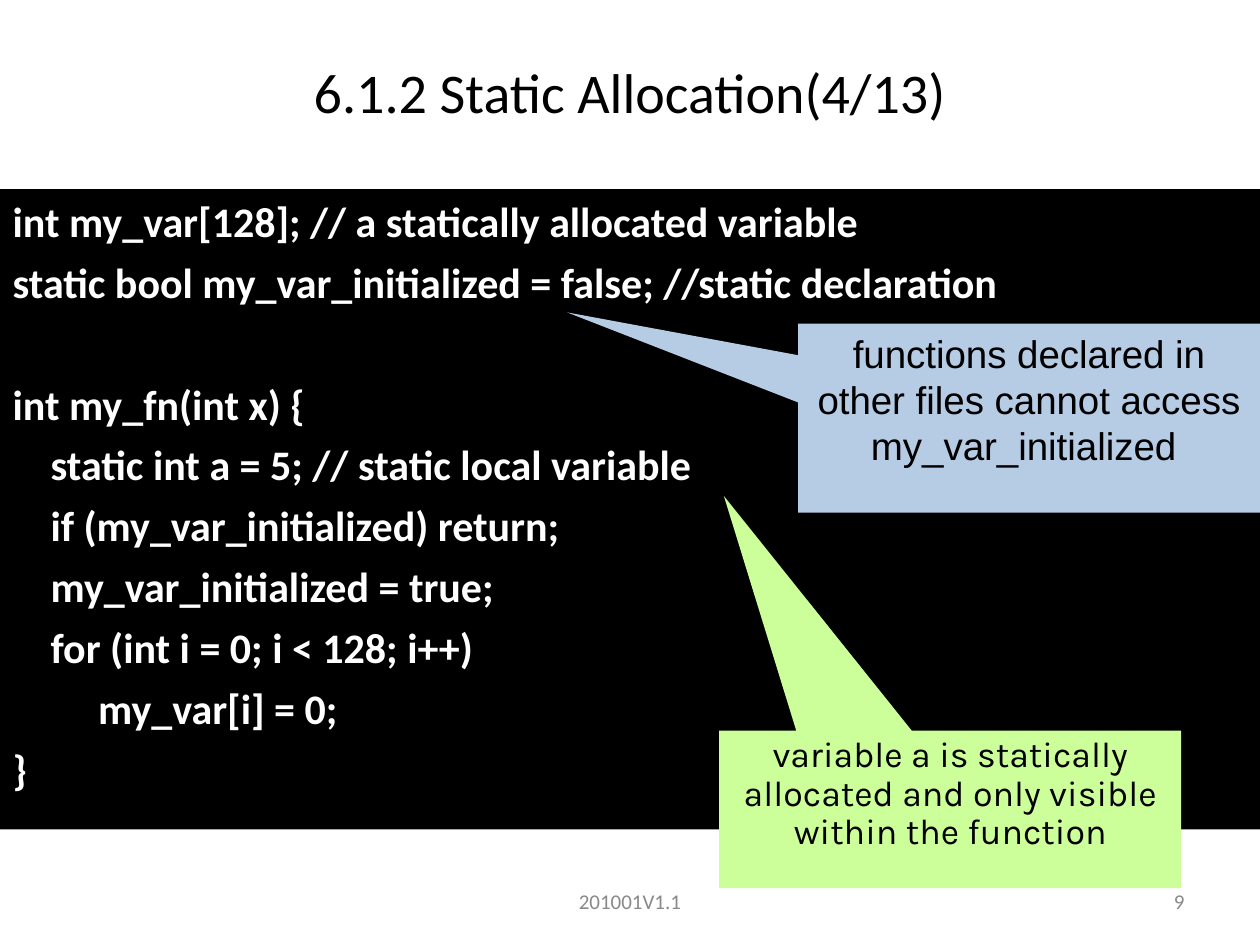
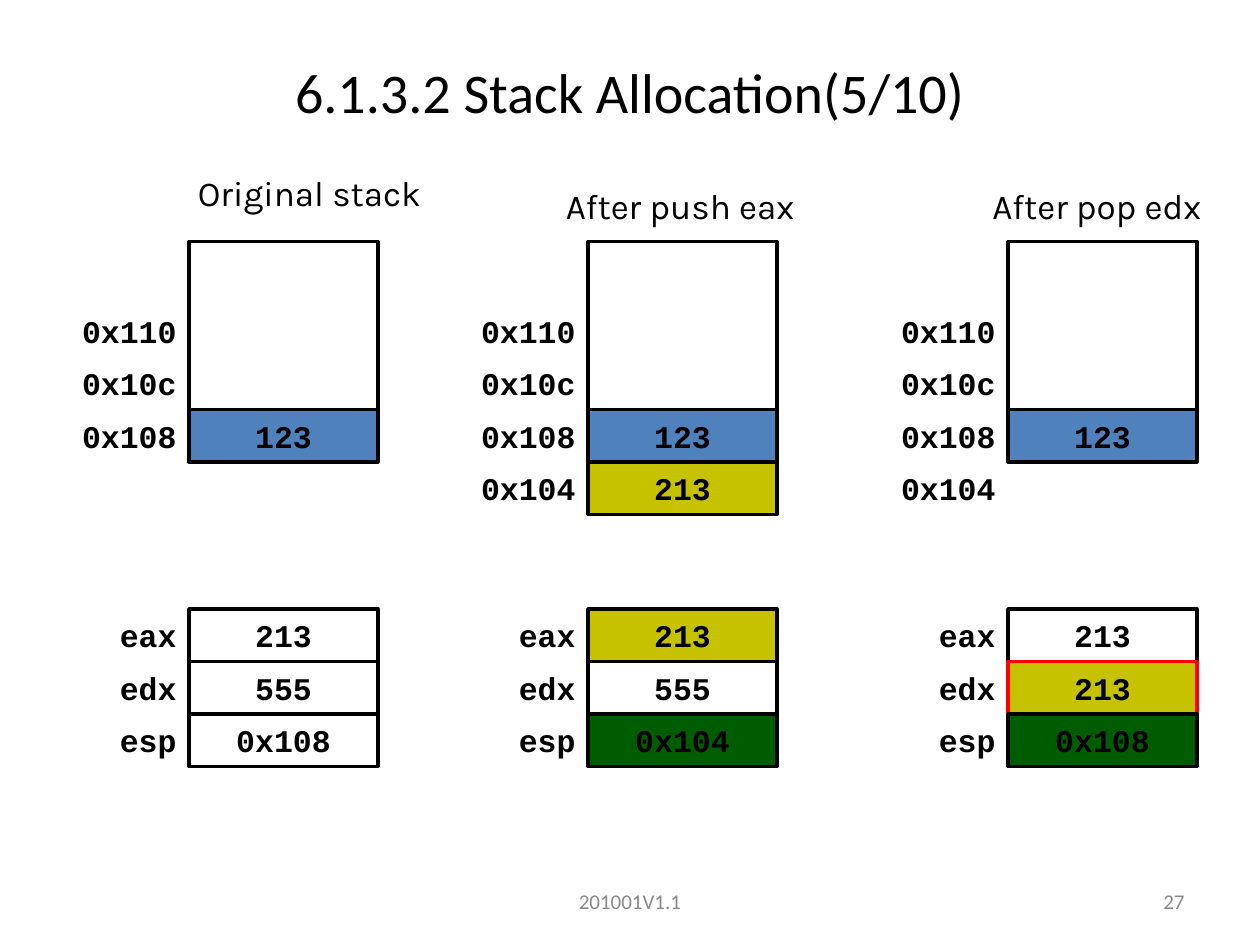
import dataclasses

import pptx
import pptx.dml.color
import pptx.enum.shapes
import pptx.enum.text
import pptx.oxml
import pptx.oxml.ns
import pptx.util

Pt = pptx.util.Pt
Kind = pptx.enum.shapes.MSO_SHAPE
Align = pptx.enum.text.PP_ALIGN
Anchor = pptx.enum.text.MSO_ANCHOR


@dataclasses.dataclass(frozen=True)
class Theme:
    black: str = "000000"
    white: str = "FFFFFF"
    grey: str = "898989"
    sky: str = "B6CBE4"
    lime: str = "CCFF99"
    blue: str = "4F81BD"
    gold: str = "C7C200"
    green: str = "005C00"
    red: str = "FF0000"
    main: str = "Calibri"
    mono: str = "Courier New"
    note: str = "Karla"
    plain: str = "Arial"
    head: float = 32
    code: float = 24
    call: float = 22
    hint: float = 20.4
    label: float = 20
    cell: float = 18
    foot: float = 12


T = Theme()
WIDE, HIGH = 720, 540
EDGE = 2
FOOT = "201001V1.1"

CODE = """int my_var[128]; // a statically allocated variable
static bool my_var_initialized = false; //static declaration

int my_fn(int x) {
    static int a = 5; // static local variable
    if (my_var_initialized) return;
    my_var_initialized = true;
    for (int i = 0; i < 128; i++)
         my_var[i] = 0;
}"""
LEAD, STEP = 6, 34.8

# Stack diagram grid
CELL_W, CELL_H = 108, 30
STACK_Y, FREE_H, REG_Y = 138, 96, 348
DATA_Y = STACK_Y + FREE_H
TAG_Y = DATA_Y - 2 * CELL_H
ADDRS = ["0x110", "0x10c", "0x108", "0x104"]
REGS = ["eax", "edx", "esp"]


def color(code):
    return pptx.dml.color.RGBColor.from_string(code)


def write(frame, text, font=T.main, size=T.cell, ink=T.black, bold=False,
          align=Align.LEFT, anchor=Anchor.MIDDLE, wrap=True, lines=None):
    """Fill a text frame with one formatted paragraph."""
    frame.auto_size = pptx.enum.text.MSO_AUTO_SIZE.NONE
    frame.word_wrap = wrap
    frame.vertical_anchor = anchor
    para = frame.paragraphs[0]
    para.text = text
    style(para, font, size, ink, bold)
    para.alignment = align
    if lines:
        para.line_spacing = lines


def style(para, font, size, ink, bold):
    para.font.name = font
    para.font.size = Pt(size)
    para.font.bold = bold
    para.font.color.rgb = color(ink)


def place(shape, box):
    shape.left, shape.top, shape.width, shape.height = map(Pt, box)


class Deck:
    def __init__(self):
        self.show = pptx.Presentation()
        self.show.slide_width = Pt(WIDE)
        self.show.slide_height = Pt(HIGH)
        self.slide = None

    def page(self, title, num, layout):
        """Start a slide with its title and footer."""
        self.slide = self.show.slides.add_slide(self.show.slide_layouts[layout])
        head = self.slide.shapes.title
        place(head, (0, 21.6, WIDE, 61.2))
        write(head.text_frame, title, size=T.head, align=Align.CENTER)
        self.text(FOOT, (246, 500.4, 228, 28.8), size=T.foot, ink=T.grey,
                  align=Align.CENTER)
        self.text(str(num), (516, 500.4, 168, 28.8), size=T.foot, ink=T.grey,
                  align=Align.RIGHT)

    def text(self, text, box, **form):
        shape = self.slide.shapes.add_textbox(*map(Pt, box))
        write(shape.text_frame, text, **form)

    def shape(self, box, kind=Kind.RECTANGLE, fill=None, line=None):
        shape = self.slide.shapes.add_shape(kind, *map(Pt, box))
        shape.shadow.inherit = False
        if fill:
            shape.fill.solid()
            shape.fill.fore_color.rgb = color(fill)
        else:
            shape.fill.background()
        if line:
            shape.line.color.rgb = color(line)
            shape.line.width = Pt(EDGE)
        else:
            shape.line.fill.background()
        return shape

    def code(self, text, box):
        """Set code in the body placeholder; a blank line becomes space before."""
        body = self.slide.placeholders[1]
        place(body, box)
        body.fill.solid()
        body.fill.fore_color.rgb = color(T.black)
        frame = body.text_frame
        frame.auto_size = pptx.enum.text.MSO_AUTO_SIZE.NONE
        para, gap = frame.paragraphs[0], 0
        for row in text.split("\n"):
            if not row:
                gap += STEP
                continue
            if para is None:
                para = frame.add_paragraph()
            para.text = row
            props = para._p.get_or_add_pPr()
            props.set("marL", str(Pt(27)))
            props.set("indent", str(Pt(-27)))
            para.space_before = Pt(gap)
            props.append(pptx.oxml.parse_xml(
                "<a:buNone %s/>" % pptx.oxml.ns.nsdecls("a")))
            style(para, T.main, T.code, T.white, True)
            para, gap = None, LEAD

    def call(self, text, box, tip, fill, **form):
        """Add a callout whose tip is given as shares of its size."""
        shape = self.shape(box, Kind.RECTANGULAR_CALLOUT, fill)
        shape.adjustments[0], shape.adjustments[1] = tip
        write(shape.text_frame, text, align=Align.CENTER, anchor=Anchor.TOP,
              **form)

    def cell(self, text, box, fill=T.white, line=T.black, align=Align.CENTER):
        shape = self.shape(box, fill=fill, line=line)
        write(shape.text_frame, text, font=T.mono, bold=True, align=align,
              wrap=False)

    def tags(self, names, left, top, width):
        """Add a column of row labels that ends at left."""
        for i, name in enumerate(names):
            self.cell(name, (left - width, top + i * CELL_H, width, CELL_H),
                      line=None, align=Align.RIGHT)

    def stack(self, name, spot, left, addrs, data, regs, width=CELL_W):
        """Draw one state: caption, stack above, registers below."""
        self.tags(addrs, left, TAG_Y, width)
        self.tags(REGS, left, REG_Y, width)
        self.shape((left, STACK_Y, CELL_W, FREE_H), line=T.black)
        for top, cells in ((DATA_Y, data), (REG_Y, regs)):
            for i, (value, *look) in enumerate(cells):
                self.cell(value, (left, top + i * CELL_H, CELL_W, CELL_H),
                          *look)
        self.text(name, spot, font=T.note, size=T.label, anchor=Anchor.TOP,
                  wrap=False)


def main():
    deck = Deck()

    deck.page("6.1.2 Static Allocation(4/13)", 9, 1)
    deck.code(CODE, (0, 108, WIDE, 366))
    deck.call("functions declared in other files cannot access "
              "my_var_initialized ", (456, 185, 264, 108), (-1, -0.56), T.sky,
              font=T.plain, size=T.call)
    deck.call("variable a is statically allocated and only visible within "
              "the function", (411, 417.5, 264, 90), (-0.49, -1.99), T.lime,
              font=T.note, size=T.hint, lines=0.9)

    deck.page("6.1.3.2 Stack Allocation(5/10)", 27, 5)
    old = ("123", T.blue)
    deck.stack("Original stack", (106, 94.5, 143, 31.7), 108, ADDRS[:3],
               [old], [("213",), ("555",), ("0x108", None)], width=72)
    deck.stack("After push eax", (316.3, 102, 151, 31.7), 336, ADDRS,
               [old, ("213", T.gold)],
               [("213", T.gold), ("555",), ("0x104", T.green)])
    deck.stack("After pop edx", (560, 102, 142, 31.7), 576, ADDRS,
               [old],
               [("213",), ("213", T.gold, T.red), ("0x108", T.green)])

    deck.show.save("out.pptx")


if __name__ == "__main__":
    main()
